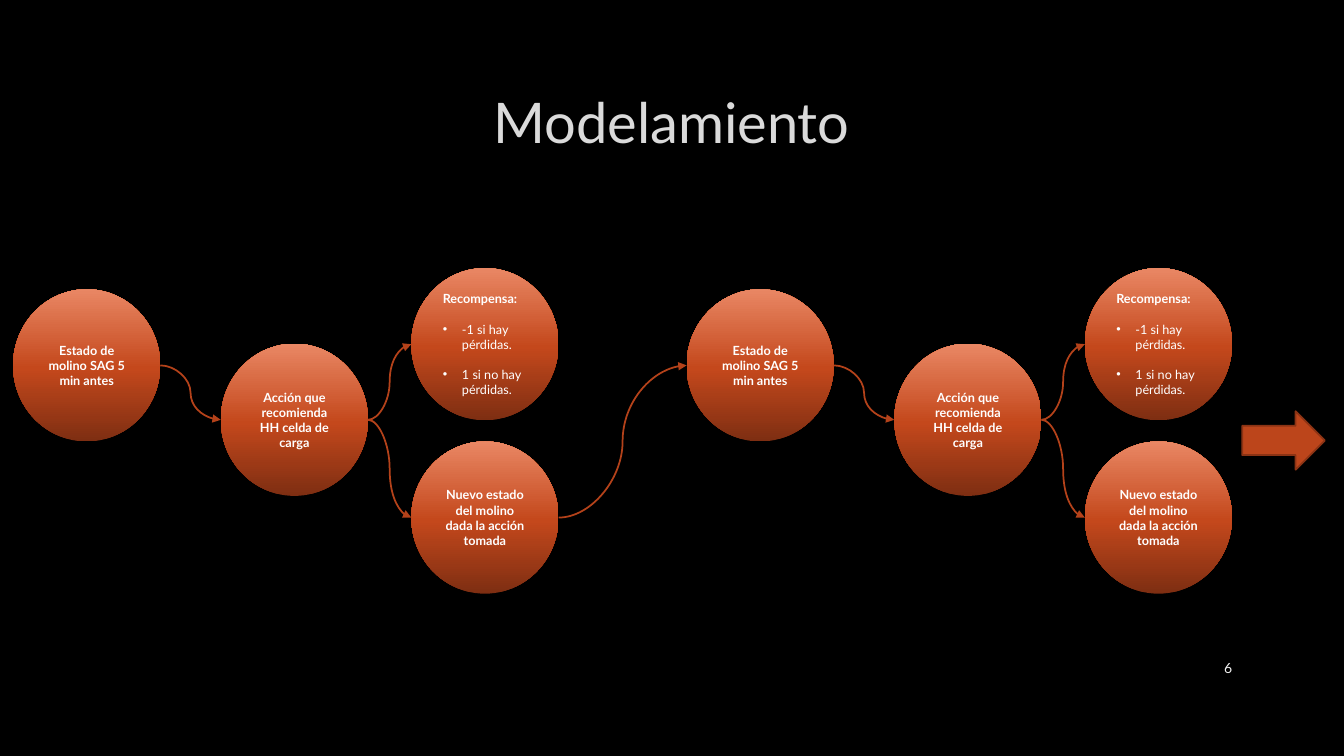
from copy import deepcopy
from pptx import Presentation
from pptx.dml.color import RGBColor
from pptx.enum.shapes import MSO_CONNECTOR, MSO_SHAPE
from pptx.enum.text import MSO_ANCHOR, PP_ALIGN
from pptx.oxml.ns import qn
from pptx.util import Inches, Pt
from lxml.etree import SubElement


def rgb(value):
    return RGBColor.from_string(value)


def write(p, text, size=9, color="FFFFFF", bold=False, align=PP_ALIGN.LEFT,
          before=0, bullet=False):
    p.alignment = align
    p.space_before = Pt(before)
    if bullet:
        pPr = p._p.get_or_add_pPr()
        pPr.set("marL", str(Inches(0.19)))
        pPr.set("indent", str(-Inches(0.19)))
        SubElement(pPr, qn("a:buFont"), typeface="Arial")
        SubElement(pPr, qn("a:buChar"), char="•")
    r = p.add_run()
    r.text = text
    r.font.name = "Lato"
    r.font.size = Pt(size)
    r.font.bold = bold
    r.font.color.rgb = rgb(color)


class Deck:
    accent, edge, link = "BC451B", "8B3314", "B4421A"
    stops = [(0, "7E2E12"), (0.48, "C4481C"), (1, "E98764")]
    width, height = 1.46, 1.51

    def __init__(self, slide):
        self.s = slide
        slide.background.fill.solid()
        slide.background.fill.fore_color.rgb = rgb("000000")

    def text(self, x, y, w, h, text, **fmt):
        tf = self.s.shapes.add_textbox(*map(Inches, (x, y, w, h))).text_frame
        tf.word_wrap = True
        tf.vertical_anchor = MSO_ANCHOR.MIDDLE
        write(tf.paragraphs[0], text, **fmt)

    def shape(self, kind, x, y, w, h):
        sp = self.s.shapes.add_shape(kind, *map(Inches, (x, y, w, h)))
        sp.shadow.inherit = False
        return sp

    def arrow(self, x, y, w, h):
        sp = self.shape(MSO_SHAPE.RIGHT_ARROW, x, y, w, h)
        sp.fill.solid()
        sp.fill.fore_color.rgb = rgb(self.accent)
        sp.line.color.rgb = rgb(self.edge)
        sp.line.width = Pt(1.25)

    def circle(self, x, y, paragraphs):
        sp = self.shape(MSO_SHAPE.OVAL, x, y, self.width, self.height)
        sp.line.fill.background()
        sp.fill.gradient()
        sp.fill.gradient_angle = 90
        gs_list = sp._element.spPr.find(".//" + qn("a:gsLst"))
        gs_list.insert(1, deepcopy(gs_list[0]))
        for stop, (position, color) in zip(sp.fill.gradient_stops, self.stops):
            stop.position = position
            stop.color.rgb = rgb(color)
        tf = sp.text_frame
        tf.word_wrap = True
        tf.vertical_anchor = MSO_ANCHOR.MIDDLE
        for i, (text, fmt) in enumerate(paragraphs):
            write(tf.add_paragraph() if i else tf.paragraphs[0], text, **fmt)
        return sp

    def connect(self, start, end):
        c = self.s.shapes.add_connector(
            MSO_CONNECTOR.CURVE,
            start.left + start.width, start.top + start.height // 2,
            end.left, end.top + end.height // 2)
        c.line.color.rgb = rgb(self.link)
        c.line.width = Pt(1.25)
        SubElement(c.line._get_or_add_ln(), qn("a:tailEnd"), type="triangle")
        SubElement(c._element.spPr, qn("a:effectLst"))


prs = Presentation()
prs.slide_width, prs.slide_height = Inches(13.33), Inches(7.5)
deck = Deck(prs.slides.add_slide(prs.slide_layouts[6]))

deck.text(1, 0.67, 11.32, 1.06, "Modelamiento", size=40, color="DADADA",
          align=PP_ALIGN.CENTER)
deck.text(11.5, 6.43, 0.82, 0.4, "6", size=10, color="F2F2F2",
          align=PP_ALIGN.RIGHT)
deck.arrow(12.32, 4.08, 0.82, 0.58)

heading = dict(bold=True, align=PP_ALIGN.CENTER)
item = dict(before=10.8, bullet=True)
steps = {
    "state": (0, 2.87, [("Estado de molino SAG 5 min antes", heading)]),
    "action": (2.06, 3.41, [("Acción que recomienda HH celda de carga", heading)]),
    "reward": (3.95, 2.66, [("Recompensa:", dict(bold=True)),
                            ("-1 si hay pérdidas.", item),
                            ("1 si no hay pérdidas.", item)]),
    "next": (3.95, 4.38, [("Nuevo estado del molino dada la acción tomada", heading)]),
}
links = [("state", "action"), ("action", "reward"), ("action", "next")]

cycles = []
for left in (0.13, 6.81):
    cycle = {name: deck.circle(left + dx, y, paragraphs)
             for name, (dx, y, paragraphs) in steps.items()}
    for start, end in links:
        deck.connect(cycle[start], cycle[end])
    cycles.append(cycle)
deck.connect(cycles[0]["next"], cycles[1]["state"])

prs.save("out.pptx")
